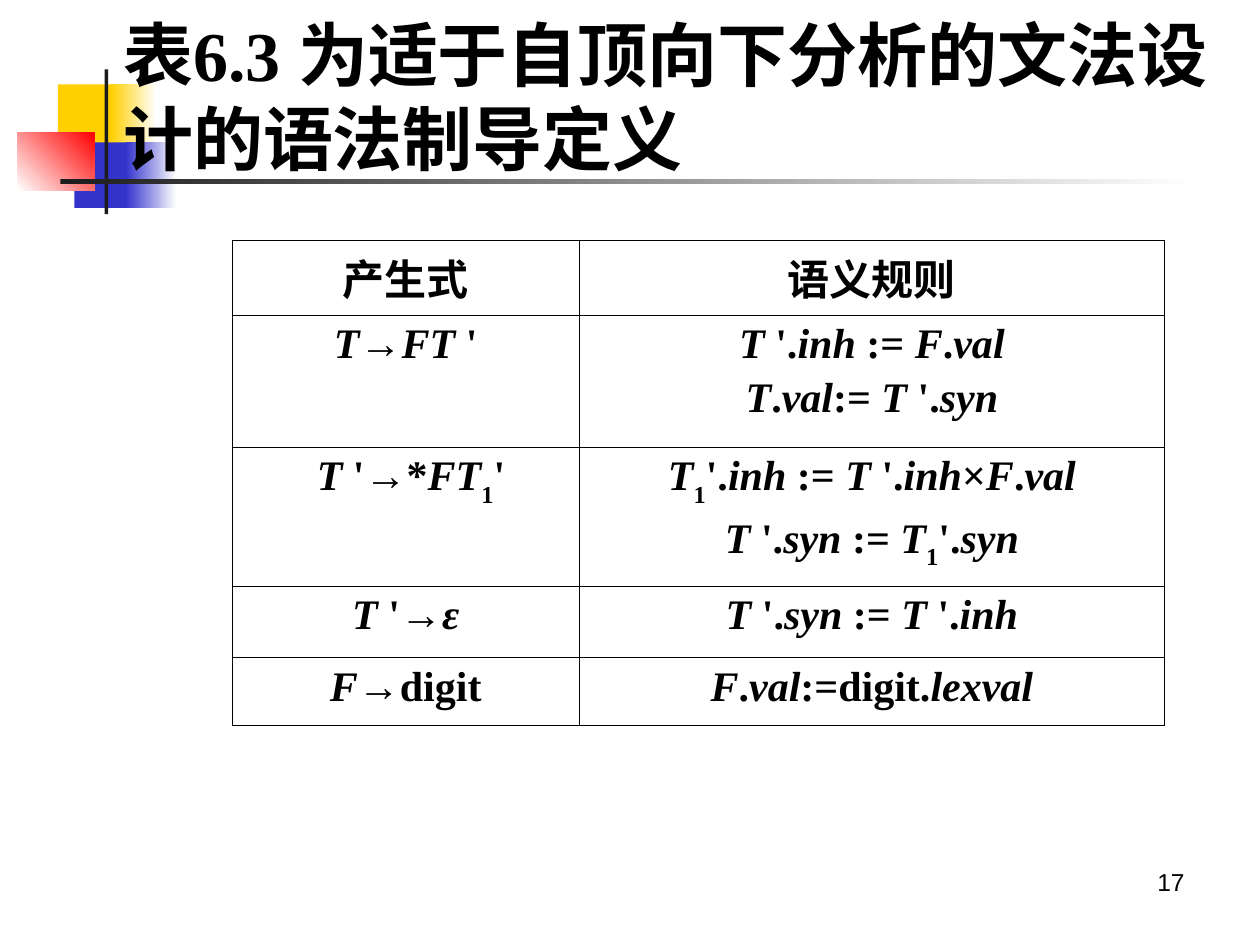
from typing import NamedTuple

from lxml.etree import SubElement
from pptx import Presentation
from pptx.dml.color import RGBColor
from pptx.enum.shapes import MSO_SHAPE as Shape
from pptx.enum.text import MSO_ANCHOR as Anchor, PP_ALIGN as Align
from pptx.oxml.ns import qn
from pptx.util import Inches, Pt

SERIF = "Times New Roman"
BLACK, WHITE = "000000", "FFFFFF"
GOLD, BLUE, RED, DARK = "FFCF01", "3333CC", "FF0000", "1C1C1C"


class Block(NamedTuple):
    left: float
    top: float
    width: float
    height: float
    start: str
    end: str = ""
    angle: int = 0


class Rule(NamedTuple):
    """Lines of runs split by bars: italic, upright, italic and so on."""
    height: float
    left: list[str]
    right: list[str]


BLOCKS = [
    Block(0.46, 0.67, 0.48, 0.52, GOLD),
    Block(0.88, 0.67, 0.36, 0.52, GOLD, WHITE),
    Block(0.59, 1.13, 0.46, 0.52, BLUE),
    Block(1, 1.13, 0.4, 0.52, BLUE, WHITE),
    Block(0.14, 1.05, 0.61, 0.46, WHITE, RED, 45),
    Block(0.83, 0.55, 0.03, 1.15, DARK),
    Block(0.48, 1.42, 9, 0.04, DARK, WHITE),
]
RULES = [
    Rule(0.59, ["|产生式"], ["|语义规则"]),
    Rule(1.05, ["T|→|FT |'"],
         ["T |'.|inh| := |F|.|val", "T|.|val|:=| T |'.|syn"]),
    Rule(1.05, [" T |'→*|FT|1||'"],
         ["T|1||'.|inh| := |T |'.|inh|×|F|.|val",
          "T |'.|syn |:=| T|1||'.|syn"]),
    Rule(0.57, ["T |'→|ε"], ["T |'.|syn| := |T |'.|inh"]),
    Rule(0.54, ["F|→digit"], ["F|.|val|:=digit.|lexval"]),
]


def color(code: str) -> RGBColor:
    return RGBColor.from_string(code)


def draw_block(slide, block: Block) -> None:
    box = slide.shapes.add_shape(Shape.RECTANGLE, *map(Inches, block[:4]))
    box.shadow.inherit = False
    box.line.fill.background()
    if block.end:
        box.fill.gradient()
        box.fill.gradient_angle = block.angle
        for stop, code in zip(box.fill.gradient_stops, (block.start, block.end)):
            stop.color.rgb = color(code)
    else:
        box.fill.solid()
        box.fill.fore_color.rgb = color(block.start)


def add_run(para, text: str, size: float, face: str, bold: bool = True):
    run = para.add_run()
    run.text = text
    run.font.size, run.font.name, run.font.bold = Pt(size), face, bold
    run.font.color.rgb = color(BLACK)
    return run


def add_box(slide, left: float, top: float, width: float, height: float):
    box = slide.shapes.add_textbox(*map(Inches, (left, top, width, height)))
    box.text_frame.word_wrap = True
    return box.text_frame


def add_rule(para, line: str) -> None:
    for i, part in enumerate(line.split("|")):
        if not part:
            continue
        run = add_run(para, part, 24, SERIF)
        run.font.italic = i % 2 == 0
        if part == "1":
            run.font._element.set("baseline", "-30000")


def add_border(cell) -> None:
    props = cell._tc.get_or_add_tcPr()
    for i, side in enumerate(("lnL", "lnR", "lnT", "lnB")):
        line = SubElement(props, qn(f"a:{side}"), w=str(Pt(0.45)))
        fill = SubElement(line, qn("a:solidFill"))
        SubElement(fill, qn("a:srgbClr"), val=BLACK)
        props.insert(i, line)


def fill_cell(cell, lines: list[str]) -> None:
    cell.fill.background()
    add_border(cell)
    frame = cell.text_frame
    for i, line in enumerate(lines):
        para = frame.add_paragraph() if i else frame.paragraphs[0]
        para.alignment = Align.CENTER
        if i:
            para.space_before = Pt(4)
        add_rule(para, line)


def draw_table(slide) -> None:
    size = sum(rule.height for rule in RULES)
    table = slide.shapes.add_table(
        len(RULES), 2, Inches(1.84), Inches(1.91), Inches(7.4), Inches(size)
    ).table
    table.first_row = table.horz_banding = False
    for col, width in zip(table.columns, (2.76, 4.64)):
        col.width = Inches(width)
    for row, rule in zip(table.rows, RULES):
        row.height = Inches(rule.height)
        for cell, lines in zip(row.cells, (rule.left, rule.right)):
            fill_cell(cell, lines)


def draw_title(slide) -> None:
    frame = add_box(slide, 0.88, 0.13, 9, 1.26)
    frame.vertical_anchor = Anchor.MIDDLE
    para = frame.paragraphs[0]
    para.line_spacing = Pt(48)
    add_run(para, "表6.3 ", 40, SERIF)
    add_run(para, "为适于自顶向下分析的文法设计的语法制导定义", 40, "Roboto")


def draw_number(slide) -> None:
    para = add_box(slide, 7.17, 6.83, 2.33, 0.52).paragraphs[0]
    para.alignment = Align.RIGHT
    add_run(para, "17", 14, "Arial", False)


def main() -> None:
    deck = Presentation()
    deck.slide_width, deck.slide_height = Inches(10), Inches(7.5)
    slide = deck.slides.add_slide(deck.slide_layouts[6])
    for block in BLOCKS:
        draw_block(slide, block)
    draw_number(slide)
    draw_title(slide)
    draw_table(slide)
    deck.save("out.pptx")


if __name__ == "__main__":
    main()
